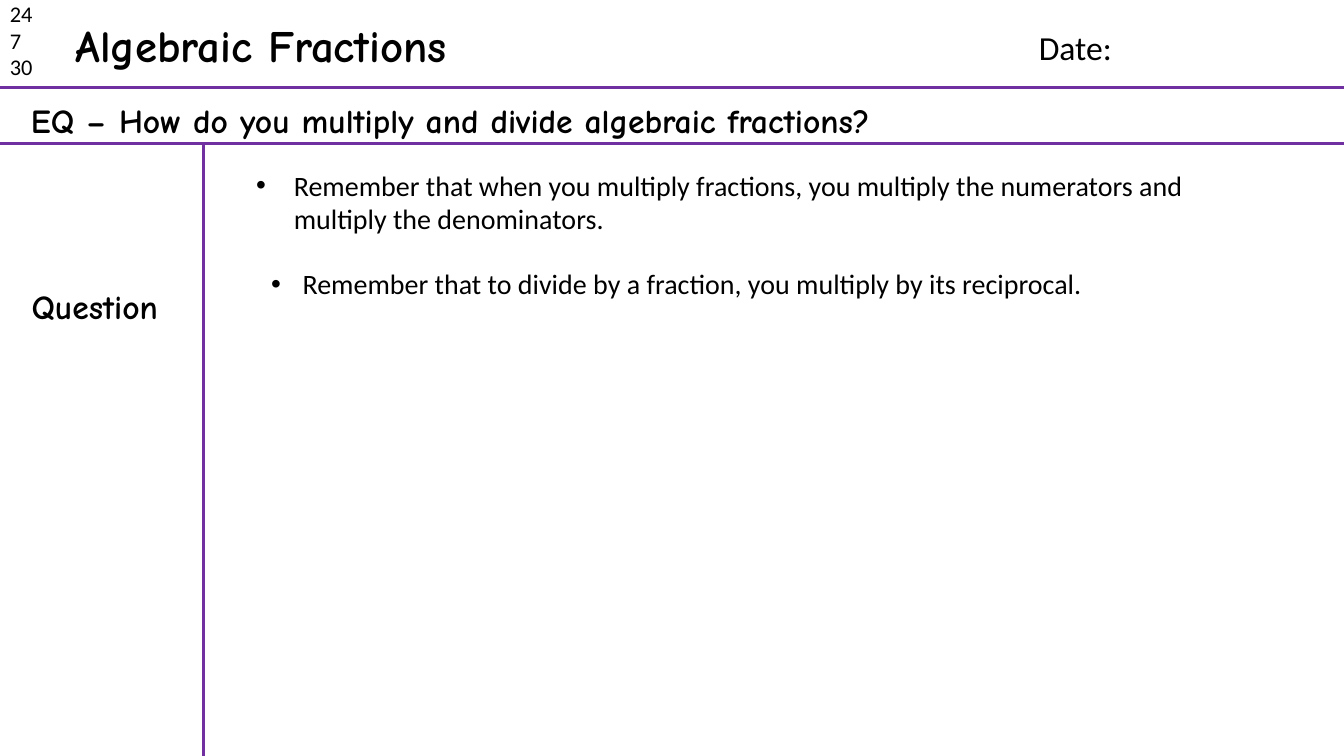
from collections import namedtuple

from lxml import etree
from pptx import Presentation
from pptx.dml.color import RGBColor
from pptx.enum.shapes import MSO_CONNECTOR
from pptx.enum.text import MSO_ANCHOR, MSO_AUTO_SIZE, PP_ALIGN
from pptx.oxml.ns import qn
from pptx.util import Cm, Pt

STRAIGHT = MSO_CONNECTOR.STRAIGHT
TOP = MSO_ANCHOR.TOP
NO_FIT = MSO_AUTO_SIZE.NONE
LEFT, CENTER = PP_ALIGN.LEFT, PP_ALIGN.CENTER

BLACK = RGBColor(0x00, 0x00, 0x00)
PURPLE = RGBColor(0x70, 0x30, 0xA0)

COUNTER = {"name": "Calibri", "size": Pt(16), "bold": False}
BODY = {"name": "Calibri", "size": Pt(20), "bold": False}
DATE = {"name": "Calibri", "size": Pt(24), "bold": False}
LABEL = {"name": "Comic Neue", "size": Pt(24), "bold": True}
TITLE = {"name": "Comic Neue", "size": Pt(32), "bold": True}

Box = namedtuple("Box", "left top width height")  # centimetres

PAGE_WIDTH, PAGE_HEIGHT = 33.87, 19.05
HEADER_BOTTOM, QUESTION_BOTTOM = 2.21, 3.61
MARGIN_RIGHT = 5.13


def inside(box, left, top, width, height):
    """Return a box whose left and top are measured from the given box."""
    return Box(box.left + left, box.top + top, width, height)


def place(shape, box):
    for name, value in box._asdict().items():
        setattr(shape, name, Cm(value))


def write(shape, box, lines, style, align=LEFT):
    """Move a text shape to its box and fill it, one paragraph a line."""
    place(shape, box)
    frame = shape.text_frame
    frame.word_wrap = True
    frame.auto_size = NO_FIT
    frame.vertical_anchor = TOP
    for index, line in enumerate(lines):
        para = frame.add_paragraph() if index else frame.paragraphs[0]
        para.alignment = align
        para.space_before = Pt(0)
        span = para.add_run()
        span.text = line
        span.font.color.rgb = BLACK
        for name, value in style.items():
            setattr(span.font, name, value)


def add_text(page, box, lines, style, align=LEFT):
    shape = page.shapes.add_textbox(0, 0, 0, 0)
    write(shape, box, lines, style, align)


def add_bullet(para, indent):
    properties = para._p.get_or_add_pPr()
    properties.set("marL", str(Cm(indent)))
    properties.set("indent", str(-Cm(indent)))
    etree.SubElement(properties, qn("a:buFont")).set("typeface", "Arial")
    etree.SubElement(properties, qn("a:buChar")).set("char", "•")


def add_rule(page, left, top, right, bottom):
    ends = [Cm(value) for value in (left, top, right, bottom)]
    rule = page.shapes.add_connector(STRAIGHT, *ends)
    rule.line.color.rgb = PURPLE
    rule.line.width = Pt(2.25)
    etree.SubElement(rule._element.spPr, qn("a:effectLst"))


def add_header(page, box):
    bottom = box.top + box.height
    add_rule(page, box.left, bottom, box.left + box.width, bottom)
    add_text(page, inside(box, 0, -0.13, 1.6, 2.31), ["24", "7", "30"], COUNTER)
    write(page.shapes.title, inside(box, 1.65, 0.33, 10.64, 1.63),
          ["Algebraic Fractions"], TITLE)
    add_text(page, inside(box, 25.93, 0.56, 5.99, 1.27), ["Date:"], DATE)


def add_essential_question(page, box):
    bottom = box.top + box.height
    add_rule(page, box.left, bottom, box.left + box.width, bottom)
    add_text(page, inside(box, 0.53, 0.18, 29.46, 1.27),
             ["EQ – How do you multiply and divide algebraic fractions?"], LABEL)


def add_margin(page, box):
    right = box.left + box.width
    add_rule(page, right, box.top, right, box.top + box.height)
    add_text(page, inside(box, 0, 3.48, 4.78, 1.27), ["Question"], LABEL, CENTER)


def add_notes_area(page, box):
    reminders = [
        (inside(box, 1.07, 0.5, 24.03, 1.96), 0.95,
         "Remember that when you multiply fractions, you multiply the "
         "numerators and multiply the denominators."),
        (inside(box, 1.45, 2.99, 24.03, 1.12), 0.79,
         "Remember that to divide by a fraction, you multiply by its reciprocal."),
    ]
    bodies = list(page.placeholders)[1:]
    for body, (place_box, indent, text) in zip(bodies, reminders):
        write(body, place_box, [text], BODY)
        add_bullet(body.text_frame.paragraphs[0], indent)


def main():
    deck = Presentation()
    deck.slide_width, deck.slide_height = Cm(PAGE_WIDTH), Cm(PAGE_HEIGHT)
    two_content = deck.slide_layouts[3]
    page = deck.slides.add_slide(two_content)
    lower_height = PAGE_HEIGHT - QUESTION_BOTTOM
    add_header(page, Box(0, 0, PAGE_WIDTH, HEADER_BOTTOM))
    add_essential_question(page, Box(0, HEADER_BOTTOM, PAGE_WIDTH,
                                     QUESTION_BOTTOM - HEADER_BOTTOM))
    add_margin(page, Box(0, QUESTION_BOTTOM, MARGIN_RIGHT, lower_height))
    add_notes_area(page, Box(MARGIN_RIGHT, QUESTION_BOTTOM,
                             PAGE_WIDTH - MARGIN_RIGHT, lower_height))
    deck.save("out.pptx")


if __name__ == "__main__":
    main()
